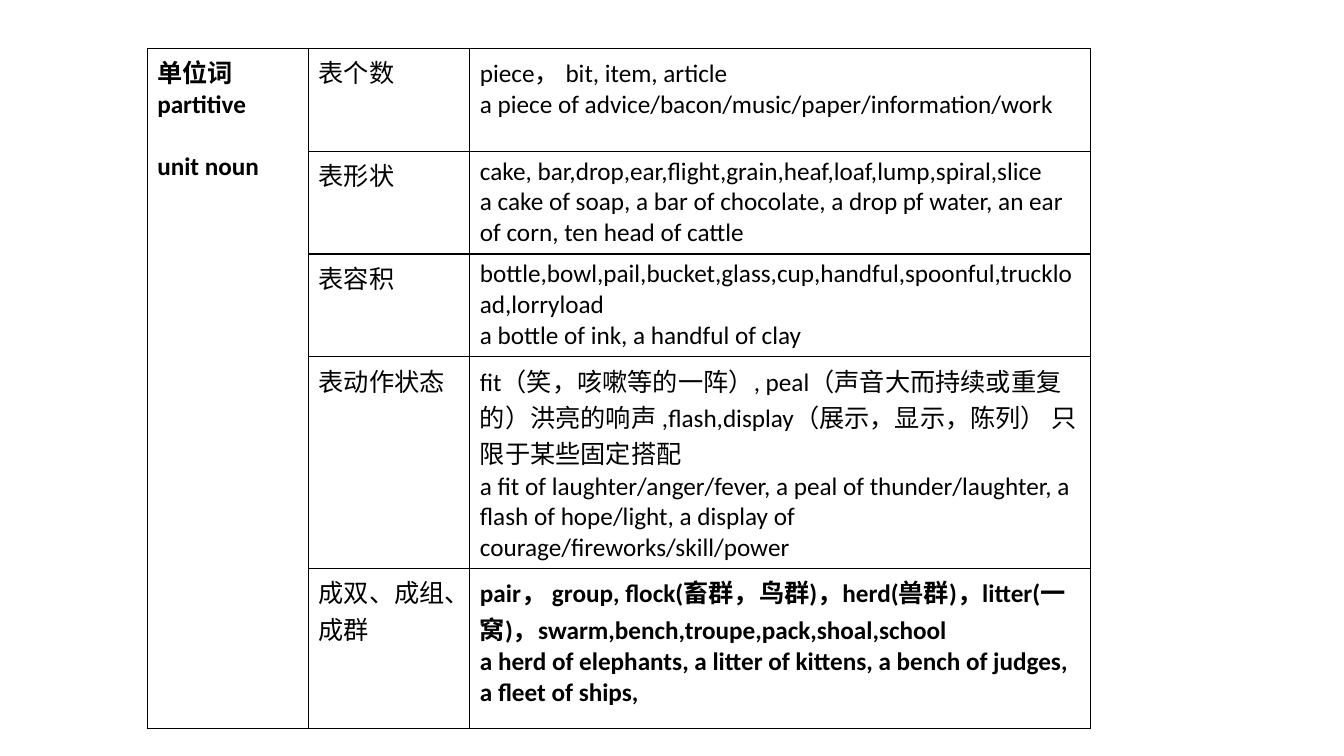
from lxml.etree import SubElement
from pptx import Presentation
from pptx.dml.color import RGBColor
from pptx.oxml.ns import qn
from pptx.util import Inches, Pt

BLACK = RGBColor(0x00, 0x00, 0x00)
WHITE = RGBColor(0xFF, 0xFF, 0xFF)

COLUMN_WIDTHS = [1.6, 1.6, 6.16]
ROW_HEIGHTS = [1.02, 1.02, 1.02, 2.1, 1.59]
TERM = ["单位词", "partitive", "unit noun"]
CATEGORIES = [
    ("表个数",
     ["piece， bit, item, article",
      "a piece of advice/bacon/music/paper/information/work"]),
    ("表形状",
     ["cake, bar,drop,ear,flight,grain,heaf,loaf,lump,spiral,slice",
      "a cake of soap, a bar of chocolate, a drop pf water, "
      "an ear of corn, ten head of cattle"]),
    ("表容积",
     ["bottle,bowl,pail,bucket,glass,cup,handful,spoonful,truckload,lorryload",
      "a bottle of ink, a handful of clay"]),
    ("表动作状态",
     ["fit（笑，咳嗽等的一阵）, peal（声音大而持续或重复的）洪亮的响声 "
      ",flash,display（展示，显示，陈列） 只限于某些固定搭配",
      "a fit of laughter/anger/fever, a peal of thunder/laughter, "
      "a flash of hope/light, a display of courage/fireworks/skill/power"]),
    ("成双、成组、成群",
     ["pair， group, flock(畜群，鸟群)，herd(兽群)，litter(一窝)，"
      "swarm,bench,troupe,pack,shoal,school",
      "a herd of elephants, a litter of kittens, a bench of judges, "
      "a fleet of ships,"]),
]


def write(frame, lines, size=18, font="Calibri", color=BLACK, bold=False):
    """Fill a text frame with one paragraph per line and return the last one."""
    for index, line in enumerate(lines):
        paragraph = frame.paragraphs[0] if index == 0 else frame.add_paragraph()
        run = paragraph.add_run()
        run.text = line
        run.font.size = Pt(size)
        run.font.name = font
        run.font.color.rgb = color
        run.font.bold = bold
    return paragraph


def style_cell(cell, color=BLACK, width=1):
    """Give a cell a white fill and a thin line on every side."""
    properties = cell._tc.get_or_add_tcPr()
    for side in ("a:lnL", "a:lnR", "a:lnT", "a:lnB"):
        line = SubElement(properties, qn(side), w=str(Pt(width)))
        fill = SubElement(line, qn("a:solidFill"))
        SubElement(fill, qn("a:srgbClr"), val=str(color))
    cell.fill.solid()
    cell.fill.fore_color.rgb = WHITE


def add_partitive_table(slide, left, top, width, height):
    """Place the table of unit nouns, scaled to the given box."""
    partitives = slide.shapes.add_table(
        len(CATEGORIES), len(COLUMN_WIDTHS),
        Inches(left), Inches(top), Inches(width), Inches(height)).table
    partitives.first_row = False
    partitives.horz_banding = False
    for column, share in zip(partitives.columns, COLUMN_WIDTHS):
        column.width = Inches(width * share / sum(COLUMN_WIDTHS))
    for row, share in zip(partitives.rows, ROW_HEIGHTS):
        row.height = Inches(height * share / sum(ROW_HEIGHTS))
    for cell in partitives.iter_cells():
        style_cell(cell)

    last = len(CATEGORIES) - 1
    term = partitives.cell(0, 0)
    term.merge(partitives.cell(last, 0))
    unit_noun = write(term.text_frame, TERM, bold=True)
    unit_noun.space_before = Pt(22)
    for index, (category, examples) in enumerate(CATEGORIES):
        write(partitives.cell(index, 1).text_frame, [category])
        write(partitives.cell(index, 2).text_frame, examples,
              bold=index == last)


presentation = Presentation()
presentation.slide_width = Inches(13.33)
presentation.slide_height = Inches(7.5)
unit_nouns = presentation.slides.add_slide(presentation.slide_layouts[6])
add_partitive_table(unit_nouns, 1.46, 0.48, sum(COLUMN_WIDTHS), sum(ROW_HEIGHTS))
presentation.save("out.pptx")
